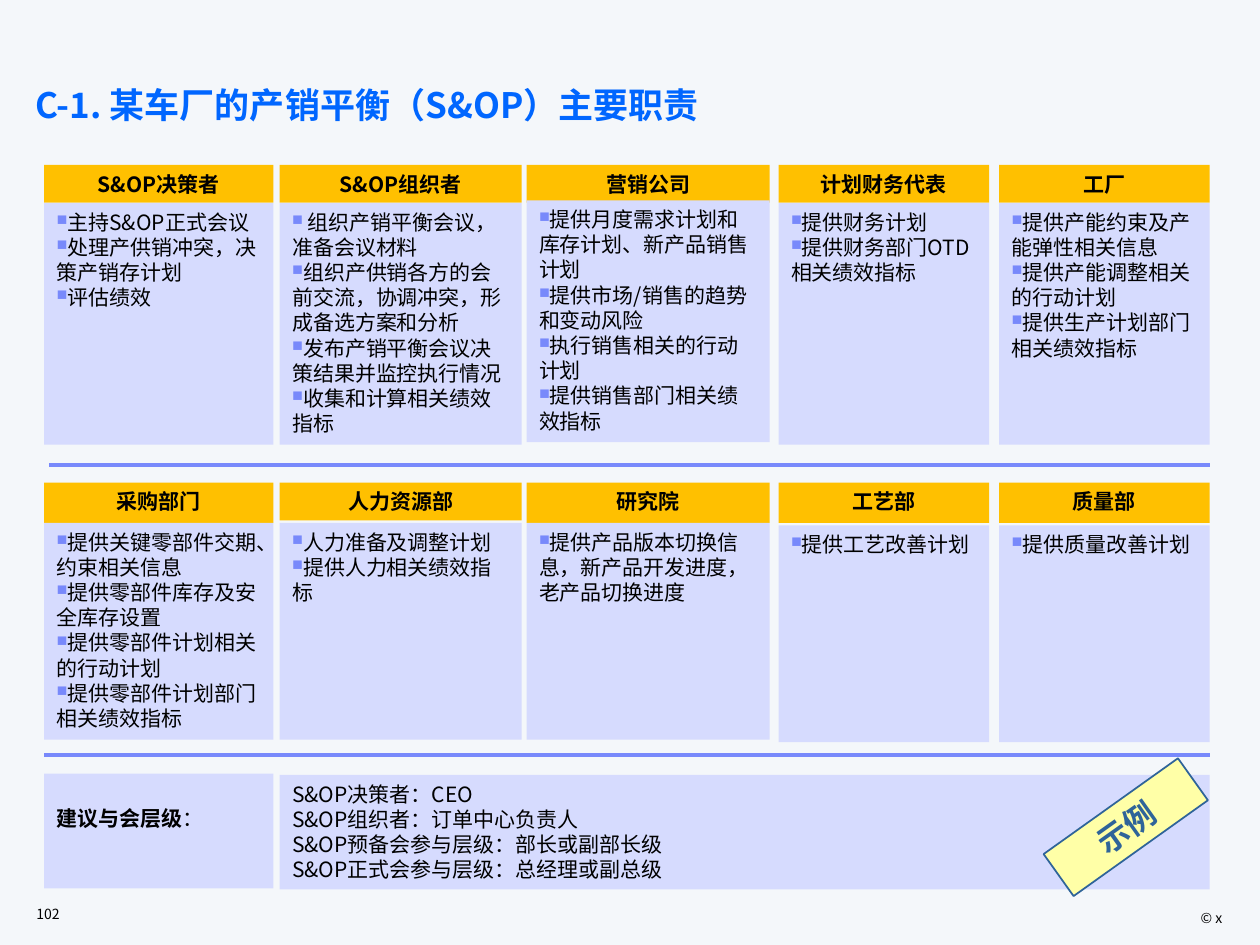
from pptx import Presentation
from pptx.dml.color import RGBColor
from pptx.enum.shapes import MSO_CONNECTOR, MSO_SHAPE
from pptx.enum.text import MSO_ANCHOR, PP_ALIGN
from pptx.oxml.ns import qn
from pptx.util import Inches, Pt
from lxml import etree

LEFT, CENTER, RIGHT = PP_ALIGN.LEFT, PP_ALIGN.CENTER, PP_ALIGN.RIGHT
TOP, MIDDLE = MSO_ANCHOR.TOP, MSO_ANCHOR.MIDDLE
RECT, STRAIGHT = MSO_SHAPE.RECTANGLE, MSO_CONNECTOR.STRAIGHT

FONT = "Noto Sans CJK SC"
BACKGROUND = RGBColor(0xF4, 0xF7, 0xFA)
BLACK = RGBColor(0, 0, 0)
TITLE_BLUE = RGBColor(0x00, 0x66, 0xFF)
AMBER = RGBColor(0xFF, 0xC0, 0x00)
LAVENDER = RGBColor(0xD6, 0xDB, 0xFE)
VIOLET = RGBColor(0x78, 0x89, 0xFB)
YELLOW = RGBColor(0xFF, 0xFF, 0xA7)
NAVY = RGBColor(0x2F, 0x64, 0x99)

# Left edge and width of each column
COLUMNS = [(0.35, 1.82), (2.22, 1.92), (4.18, 1.93), (6.18, 1.67), (7.93, 1.67)]

# Rows: header top, body height, then cards of
# (name, header height, body top, duties)
ROWS = [
    (1.31, 1.92, [
        ("S&OP决策者", 0.3, 1.61, [
            "主持S&OP正式会议", "处理产供销冲突，决策产销存计划", "评估绩效"]),
        ("S&OP组织者", 0.3, 1.61, [
            " 组织产销平衡会议，准备会议材料",
            "组织产供销各方的会前交流，协调冲突，形成备选方案和分析",
            "发布产销平衡会议决策结果并监控执行情况",
            "收集和计算相关绩效指标"]),
        ("营销公司", 0.3, 1.59, [
            "提供月度需求计划和库存计划、新产品销售计划",
            "提供市场/销售的趋势和变动风险",
            "执行销售相关的行动计划",
            "提供销售部门相关绩效指标"]),
        ("计划财务代表", 0.3, 1.61, [
            "提供财务计划", "提供财务部门OTD相关绩效指标"]),
        ("工厂", 0.3, 1.61, [
            "提供产能约束及产能弹性相关信息",
            "提供产能调整相关的行动计划",
            "提供生产计划部门相关绩效指标"]),
    ]),
    (3.83, 1.72, [
        ("采购部门", 0.32, 4.15, [
            "提供关键零部件交期、约束相关信息",
            "提供零部件库存及安全库存设置",
            "提供零部件计划相关的行动计划",
            "提供零部件计划部门相关绩效指标"]),
        ("人力资源部", 0.3, 4.15, [
            "人力准备及调整计划", "提供人力相关绩效指标"]),
        ("研究院", 0.32, 4.15, [
            "提供产品版本切换信息，新产品开发进度，老产品切换进度"]),
        ("工艺部", 0.32, 4.17, ["提供工艺改善计划"]),
        ("质量部", 0.32, 4.17, ["提供质量改善计划"]),
    ]),
]

LEVELS = [
    "S&OP决策者：CEO",
    "S&OP组织者：订单中心负责人",
    "S&OP预备会参与层级：部长或副部长级",
    "S&OP正式会参与层级：总经理或副总级",
]


def add_bullet(p):
    pPr = p._p.get_or_add_pPr()
    pPr.set("marL", "0")
    pPr.set("indent", "0")
    color = etree.SubElement(pPr, qn("a:buClr"))
    etree.SubElement(color, qn("a:srgbClr"), val=str(VIOLET))
    etree.SubElement(pPr, qn("a:buSzPct"), val="70000")
    etree.SubElement(pPr, qn("a:buChar"), char="■")


def add_run(p, text, size=12, color=BLACK, bold=False):
    r = p.add_run()
    r.text = text
    r.font.name = FONT
    r.font.size = Pt(size)
    r.font.bold = bold
    r.font.color.rgb = color
    etree.SubElement(r._r.get_or_add_rPr(), qn("a:ea"), typeface=FONT)


def write_text(sp, paragraphs, align=LEFT, anchor=TOP, bullet=False,
               spacing=None, **font):
    tf = sp.text_frame
    tf.word_wrap = True
    tf.vertical_anchor = anchor
    for i, text in enumerate(paragraphs):
        p = tf.add_paragraph() if i else tf.paragraphs[0]
        p.alignment = align
        if spacing:
            p.line_spacing = spacing
        if bullet:
            add_bullet(p)
        add_run(p, text, **font)


def add_label(s, x, y, w, h, text, **fmt):
    sp = s.shapes.add_textbox(Inches(x), Inches(y), Inches(w), Inches(h))
    write_text(sp, [text], **fmt)


def add_box(s, x, y, w, h, fill, paragraphs, line=None, **fmt):
    sp = s.shapes.add_shape(RECT, Inches(x), Inches(y), Inches(w), Inches(h))
    sp.shadow.inherit = False
    sp.fill.solid()
    sp.fill.fore_color.rgb = fill
    if line:
        sp.line.color.rgb = line
        sp.line.width = Pt(1)
    else:
        sp.line.fill.background()
    write_text(sp, paragraphs, **fmt)
    return sp


def add_divider(s, x1, x2, y):
    line = s.shapes.add_connector(STRAIGHT, Inches(x1), Inches(y), Inches(x2), Inches(y))
    line.line.color.rgb = VIOLET
    line.line.width = Pt(2.25)
    etree.SubElement(line._element.spPr, qn("a:effectLst"))


def add_cards(s, header_top, body_height, cards):
    for (x, w), (name, header_height, body_top, duties) in zip(COLUMNS, cards):
        add_box(s, x, header_top, w, header_height, AMBER, [name], align=CENTER, bold=True)
        add_box(s, x, body_top, w, body_height, LAVENDER, duties, bullet=True)


def main():
    prs = Presentation()
    prs.slide_width, prs.slide_height = Inches(10), Inches(7.5)
    s = prs.slides.add_slide(prs.slide_layouts[6])
    s.background.fill.solid()
    s.background.fill.fore_color.rgb = BACKGROUND

    # Footer and title
    add_label(s, 8.3, 7.17, 1.5, 0.2, "© x", size=8, align=RIGHT)
    add_label(s, 0.19, 7.13, 0.7, 0.24, "102", size=8, anchor=MIDDLE)
    add_label(s, 0.18, 0.65, 9.65, 0.76, "C-1. 某车厂的产销平衡（S&OP）主要职责",
              size=20, color=TITLE_BLUE, bold=True, spacing=0.9)

    # Responsibilities by department
    for row in ROWS:
        add_cards(s, *row)
    add_divider(s, 0.39, 9.6, 3.69)
    add_divider(s, 0.35, 9.6, 5.99)

    # Suggested attendance levels
    add_box(s, 2.22, 6.15, 7.38, 0.91, LAVENDER, LEVELS)
    label = add_box(s, 0.35, 6.14, 1.82, 0.91, LAVENDER, ["建议与会层级"], bold=True)
    label.text_frame.margin_top = Inches(0.25)
    add_run(label.text_frame.paragraphs[0], "：")

    # Example stamp
    stamp = add_box(s, 8.28, 6.36, 1.31, 0.41, YELLOW, ["示例"], line=NAVY,
                    align=CENTER, anchor=MIDDLE, size=18, color=NAVY, bold=True)
    stamp.rotation = 324.5

    prs.save("out.pptx")


if __name__ == "__main__":
    main()
